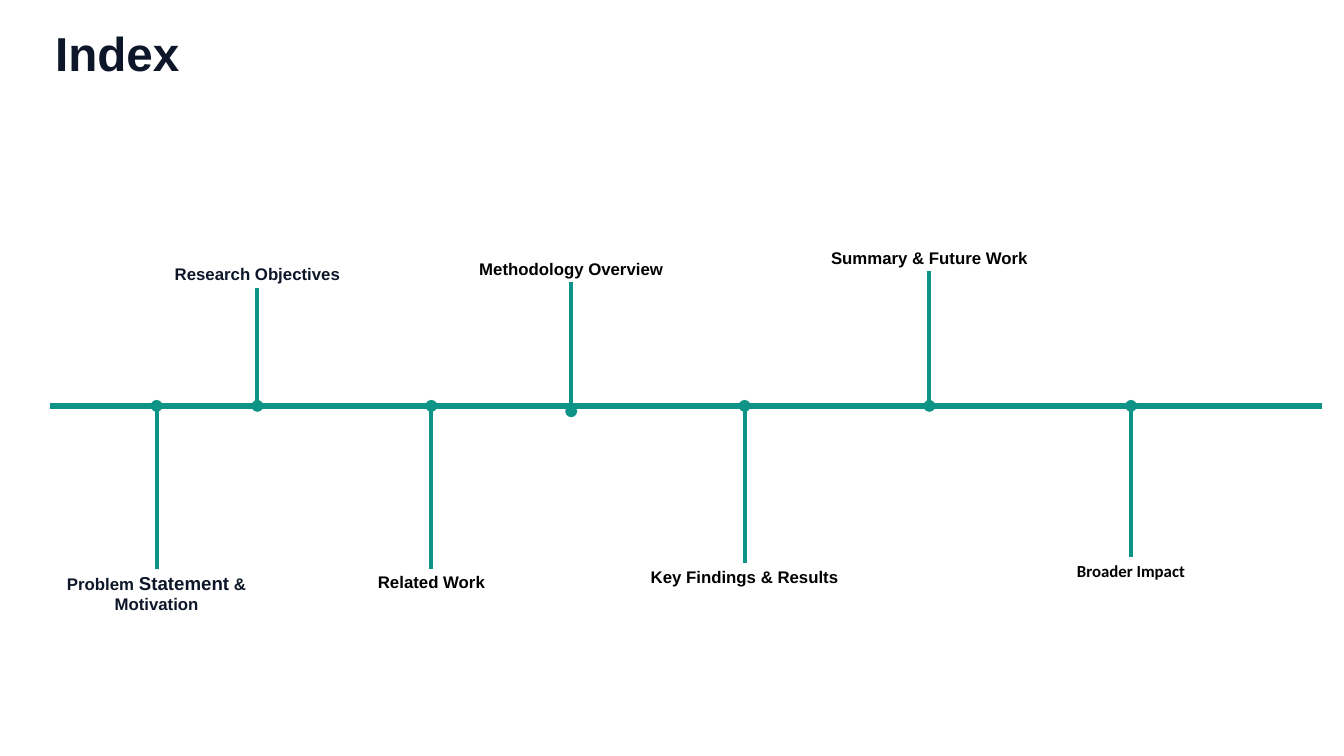
import pptx
import pptx.dml.color
import pptx.enum.shapes
import pptx.enum.text
import pptx.oxml
import pptx.oxml.ns
import pptx.util

PX = 9144  # 100 px to the inch
COLORS = {"ink": "0E1729", "black": "000000", "teal": "0D9487"}
AXIS = 604
WIDTH, HEIGHT = 400, 40

# x, start, tip, colour, font, runs of (text, size)
STOPS = [
    (233, AXIS, 846, "ink", "Arial",
     [("Problem ", 18), ("Statement", 20), (" & Motivation", 18)]),
    (383, AXIS, 428, "ink", "Arial", [("Research Objectives", 18)]),
    (642, AXIS, 846, "black", "Arial", [("Related Work", 18)]),
    (850, 612, 420, "black", "Arial", [("Methodology Overview", 18)]),
    (1108, AXIS, 838, "black", "Arial", [("Key Findings & Results", 18)]),
    (1383, AXIS, 403, "black", "Arial", [("Summary & Future Work", 18)]),
    (1683, AXIS, 829, "black", "Calibri", [("Broader Impact", 18)]),
]


def rgb(name):
    return pptx.dml.color.RGBColor.from_string(COLORS[name])


class Deck:
    def __init__(self, width, height):
        self.prs = pptx.Presentation()
        self.prs.slide_width = width * PX
        self.prs.slide_height = height * PX
        self.slide = self.prs.slides.add_slide(self.prs.slide_layouts[5])

    def fill(self, frame, runs, color, font, align):
        """Add styled runs to the first paragraph of a text frame."""
        para = frame.paragraphs[0]
        para.alignment = align
        for text, size in runs:
            run = para.add_run()
            run.text = text
            run.font.size = pptx.util.Pt(size)
            run.font.name = font
            run.font.bold = True
            run.font.color.rgb = rgb(color)

    def title(self, text, left, top, width, height):
        box = self.slide.shapes.title
        box.left, box.top = left * PX, top * PX
        box.width, box.height = width * PX, height * PX
        frame = box.text_frame
        frame.margin_left = frame.margin_right = 0
        frame.margin_top = frame.margin_bottom = 0
        frame.vertical_anchor = pptx.enum.text.MSO_ANCHOR.TOP
        self.fill(frame, [(text, 51)], "ink", "Arial",
                  pptx.enum.text.PP_ALIGN.LEFT)

    def label(self, runs, left, top, color, font):
        box = self.slide.shapes.add_textbox(
            left * PX, top * PX, WIDTH * PX, HEIGHT * PX)
        frame = box.text_frame
        frame.word_wrap = True
        frame.auto_size = pptx.enum.text.MSO_AUTO_SIZE.SHAPE_TO_FIT_TEXT
        self.fill(frame, runs, color, font, pptx.enum.text.PP_ALIGN.CENTER)

    def line(self, x1, y1, x2, y2, weight, dot=False):
        """Draw a teal line, with a round dot at its start if asked."""
        line = self.slide.shapes.add_connector(
            pptx.enum.shapes.MSO_CONNECTOR.STRAIGHT,
            x1 * PX, y1 * PX, x2 * PX, y2 * PX)
        line.line.color.rgb = rgb("teal")
        line.line.width = pptx.util.Pt(weight)
        props = line._element.spPr
        if dot:
            head = pptx.oxml.parse_xml(
                f'<a:headEnd {pptx.oxml.ns.nsdecls("a")} type="oval"/>')
            props.find(pptx.oxml.ns.qn("a:ln")).append(head)
        props.append(pptx.oxml.parse_xml(
            f'<a:effectLst {pptx.oxml.ns.nsdecls("a")}/>'))


def main():
    deck = Deck(2000, 1125)
    deck.title("Index", 82, 36, 1027, 86)
    deck.line(75, AXIS, 1967, AXIS, 6)
    for x, start, tip, color, font, runs in STOPS:
        deck.line(x, start, x, tip, 4.25, dot=True)
        top = tip if tip > AXIS else tip - HEIGHT
        deck.label(runs, x - WIDTH // 2, top, color, font)
    deck.prs.save("out.pptx")


if __name__ == "__main__":
    main()
